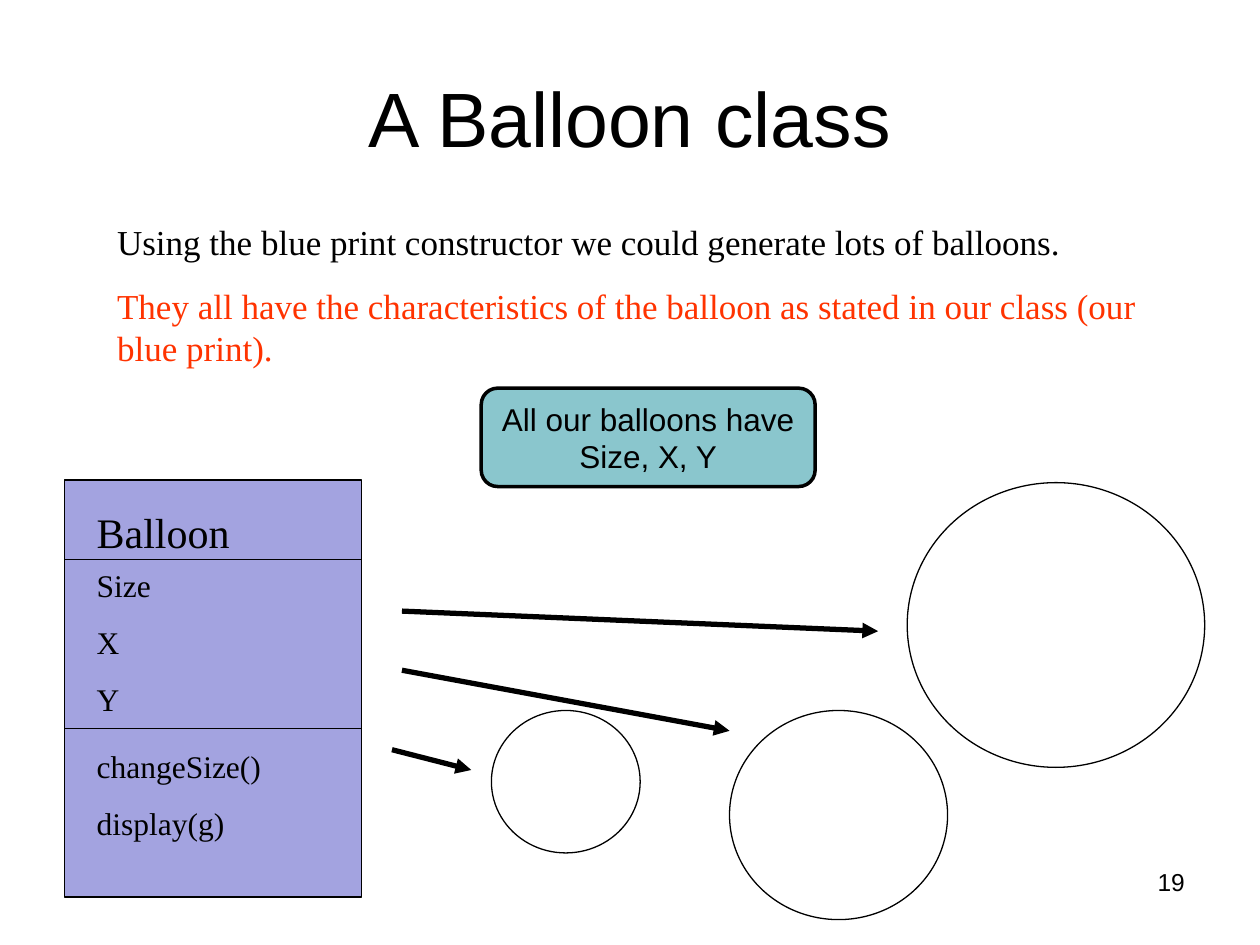
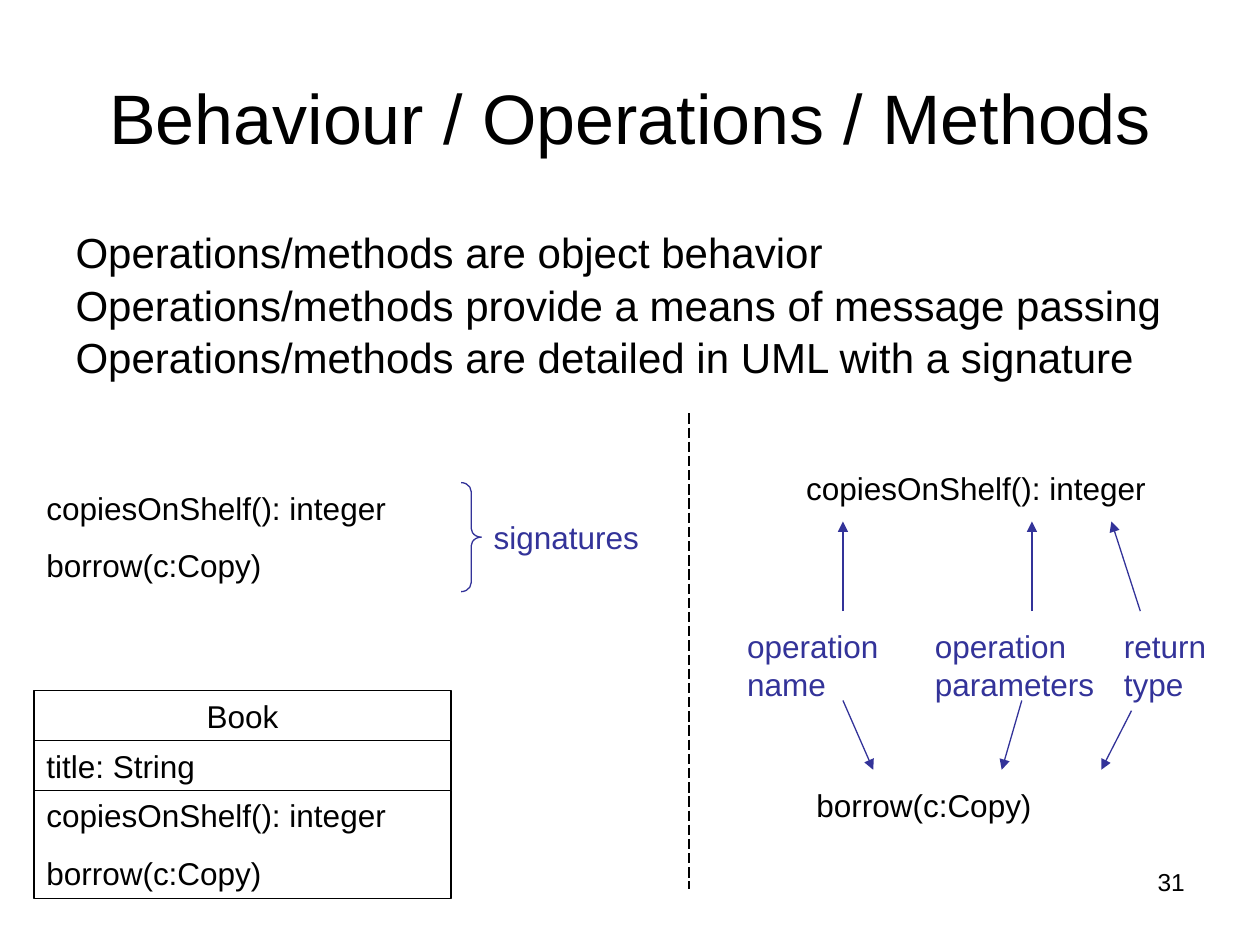
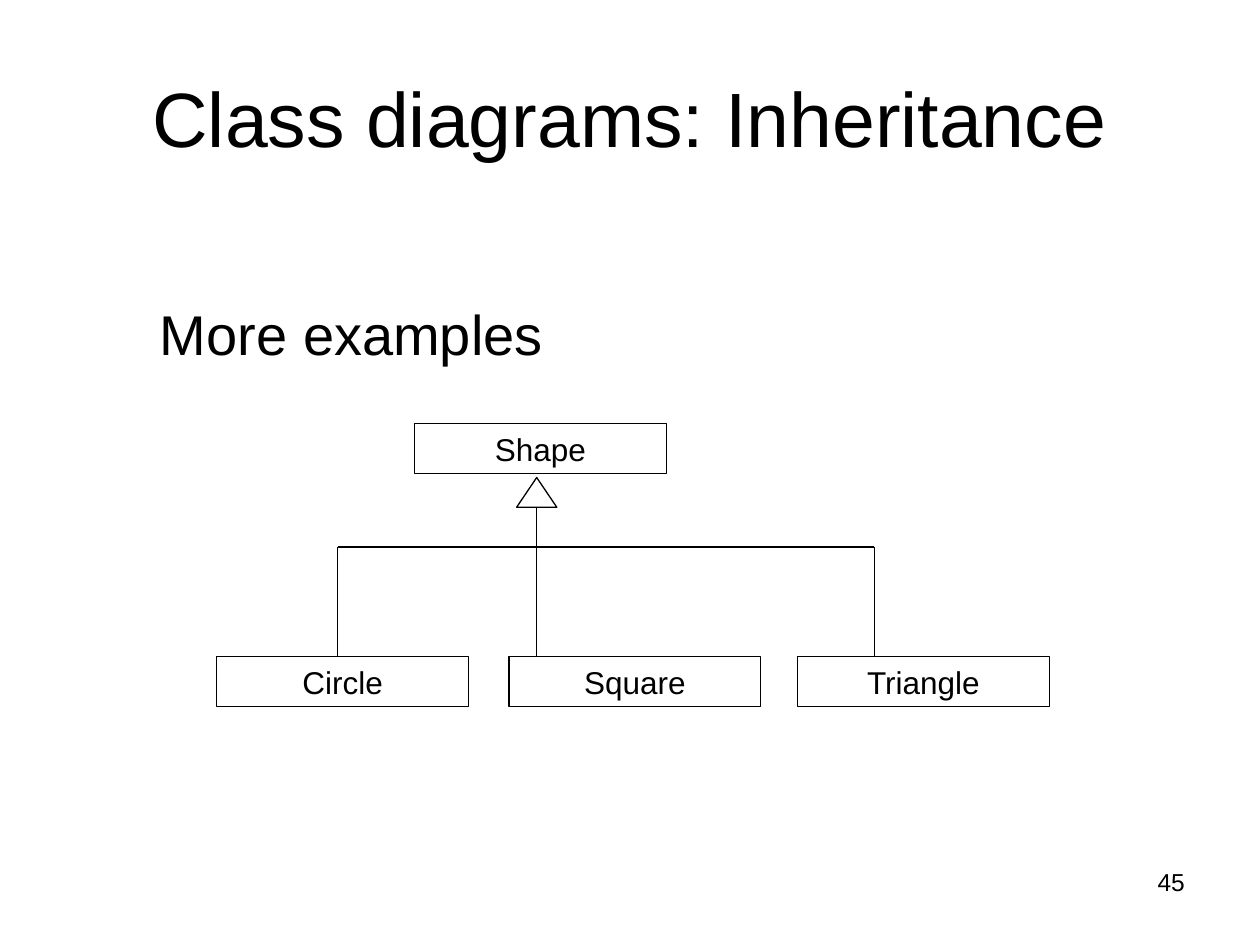
"""Build three slides on classes, operations and inheritance."""
import pptx
import pptx.dml.color
import pptx.enum.dml
import pptx.enum.shapes
import pptx.enum.text
import pptx.oxml.ns
import pptx.util
from lxml import etree

Pt = pptx.util.Pt
SHAPE = pptx.enum.shapes.MSO_SHAPE
ALIGN = pptx.enum.text.PP_ALIGN
ANCHOR = pptx.enum.text.MSO_ANCHOR
HEX = {"ink": "000000", "paper": "FFFFFF", "red": "FF3300", "blue": "333399",
       "lilac": "A3A3E0", "teal": "8AC6CD"}
SANS, SERIF = "Arial", "Times New Roman"
FRAME = {"word_wrap": True, "auto_size": pptx.enum.text.MSO_AUTO_SIZE.NONE,
         "vertical_anchor": ANCHOR.TOP, "margin_left": Pt(7.2),
         "margin_right": Pt(7.2), "margin_top": Pt(3.6), "margin_bottom": Pt(3.6)}
ROW = 28.5


def color(name):
    """Return the named colour."""
    return pptx.dml.color.RGBColor.from_string(HEX[name])


def apply(item, form):
    """Set each format value on the item."""
    for key, value in form.items():
        setattr(item, key, value)


def place(box):
    """Turn a box of numbers into lengths."""
    return [Pt(n) for n in box]


def write(shape, lines, size=18, face=SANS, ink="ink", align=ALIGN.LEFT, gap=11.2, **frame):
    """Fill a shape with lines, each a string or a (string, colour) pair."""
    body = shape.text_frame
    apply(body, {**FRAME, **frame})
    for i, line in enumerate(lines):
        words, tint = (line, ink) if isinstance(line, str) else line
        para = body.paragraphs[0] if i == 0 else body.add_paragraph()
        apply(para, {"alignment": align, "space_before": Pt(gap if i else 0)})
        run = para.add_run()
        run.text = words
        apply(run.font, {"name": face, "size": Pt(size)})
        run.font.color.rgb = color(tint)


def label(slide, box, lines, **form):
    """Add a text box."""
    write(slide.shapes.add_textbox(*place(box)), lines, **form)


def figure(slide, kind, box, fill=None, line="ink", width=0.75):
    """Add a preset shape with a plain outline."""
    shape = slide.shapes.add_shape(kind, *place(box))
    shape.shadow.inherit = False
    if fill:
        shape.fill.solid()
        shape.fill.fore_color.rgb = color(fill)
    else:
        shape.fill.background()
    shape.line.color.rgb = color(line)
    shape.line.width = Pt(width)
    return shape


def link(slide, start, end, ink="ink", width=0.75, head=False, dash=None):
    """Add a straight line, with an arrowhead at its end if asked."""
    line = slide.shapes.add_connector(
        pptx.enum.shapes.MSO_CONNECTOR.STRAIGHT, *place(start + end))
    line.line.color.rgb = color(ink)
    apply(line.line, {"width": Pt(width), "dash_style": dash})
    if head:
        tail = etree.SubElement(line.line._get_or_add_ln(), pptx.oxml.ns.qn("a:tailEnd"))
        tail.set("type", "triangle")
    etree.SubElement(line._element.spPr, pptx.oxml.ns.qn("a:effectLst"))


def start(deck, title, number, size=44, body=False):
    """Add a slide with its title and number."""
    slide = deck.slides.add_slide(deck.slide_layouts[1 if body else 5])
    head = slide.shapes.title
    apply(head, dict(zip(("left", "top", "width", "height"), place((36, 21.6, 648, 90)))))
    write(head, [title], size, align=ALIGN.CENTER, vertical_anchor=ANCHOR.MIDDLE)
    label(slide, (516.2, 491.8, 168, 37.4), [number], size=14, align=ALIGN.RIGHT)
    return slide


def points(slide, lines, size, **frame):
    """Fill the body placeholder with lines that have no bullets."""
    body = slide.placeholders[1]
    apply(body, dict(zip(("left", "top", "width", "height"), place((36, 126, 636, 382.3)))))
    for i in range(len(lines)):
        paras = body.text_frame.paragraphs
        para = paras[0] if i == 0 else body.text_frame.add_paragraph()
        props = para._p.get_or_add_pPr()
        props.set("marL", "0")
        props.set("indent", "0")
        etree.SubElement(props, pptx.oxml.ns.qn("a:buNone"))
    fill_lines(body, lines, size, **frame)


def fill_lines(body, lines, size, **frame):
    """Write one line into each paragraph that is there."""
    apply(body.text_frame, {**FRAME, **frame})
    for i, (para, words) in enumerate(zip(body.text_frame.paragraphs, lines)):
        para.space_before = Pt(1.2 if i else 0)
        run = para.add_run()
        run.text = words
        apply(run.font, {"name": SANS, "size": Pt(size)})
        run.font.color.rgb = color("ink")


def card(slide, box):
    """Draw the Balloon class with its fields and methods."""
    x, y, w, h = box
    figure(slide, SHAPE.RECTANGLE, box, "lilac")
    for top, deep, size, lines in (
            (11.5, 36, 24, ["Balloon"]),
            (45.4, 95, 18, ["Size", "X", "Y"]),
            (149, 62, 18, ["changeSize()", "display(g)"])):
        label(slide, (x + 11.5, y + top, w - 11.5, deep), lines, size=size, face=SERIF)
    for rule in (45.4, 141.8):
        link(slide, (x, y + rule), (x + w, y + rule))


def balloons(slide, box):
    """Draw the balloons and the arrows that lead to them."""
    x, y = box[:2]
    for left, top, w, h in ((294.4, 0, 170, 162.7), (56.8, 130.2, 85, 81.4),
                            (192.9, 130.2, 124.6, 119.5)):
        figure(slide, SHAPE.OVAL, (x + left, y + top, w, h))
    for a, b, c, d in ((0, 152.6, 45.3, 164.2), (5.7, 107.2, 192.9, 141.8),
                       (5.7, 73.4, 277.8, 84.9)):
        link(slide, (x + a, y + b), (x + c, y + d), width=3, head=True)


def badge(slide, box):
    """Draw the rounded remark."""
    shape = figure(slide, SHAPE.ROUNDED_RECTANGLE, box, "teal", width=2)
    write(shape, ["All our balloons have Size, X, Y"], align=ALIGN.CENTER,
          vertical_anchor=ANCHOR.MIDDLE)


def book(slide, box, calls):
    """Draw the Book class as three stacked rows."""
    x, y, w, h = box
    rows = ((["Book"], ALIGN.CENTER), (["title: String"], ALIGN.LEFT), (calls, ALIGN.LEFT))
    for i, (lines, align) in enumerate(rows):
        deep = ROW if i < 2 else h - 2 * ROW
        shape = figure(slide, SHAPE.RECTANGLE, (x, y + i * ROW, w, deep), "paper")
        write(shape, lines, align=align)


def calls_list(slide, box, calls):
    """List the calls with a brace that names them."""
    x, y, w, h = box
    label(slide, (x, y, 238.3, h), calls)
    brace = figure(slide, SHAPE.RIGHT_BRACE, (x + 244.1, y, 11.5, h), line="blue")
    brace.adjustments[0] = 0.44
    label(slide, (x + 255.6, y + 16.5, w - 255.6, ROW), ["signatures"], ink="blue")


def parts(slide, box, calls):
    """Name the parts of each call, with arrows to them."""
    x, y, w, h = box
    for (left, top), call in zip(((33.8, 0), (39.6, 181.5)), calls):
        label(slide, (x + left, y + top, 238.3, ROW), [call])
    for left, wide, words in ((0, 96.5, "operation name"),
                              (107.3, 124.6, "operation parameters"),
                              (215.3, 85, "return type")):
        label(slide, (x + left, y + 90.8, wide, 50.4), [words], ink="blue")
    for a, b, c, d in ((61.9, 85, 61.9, 33.8), (169.9, 85, 169.9, 33.8),
                       (231.8, 85, 215.3, 33.8), (61.9, 136.1, 79.2, 175.7),
                       (164.1, 136.1, 152.6, 175.7), (226.8, 141.9, 209.5, 175.7)):
        link(slide, (x + a, y + b), (x + c, y + d), "blue", head=True)


def tree(slide, box):
    """Draw a parent class above its three children."""
    x, y, w, h = box
    base, bar, stem = y + h - ROW, y + 70.6, x + 182.9
    ends = (x + 69.2, x + 375.9)
    figure(slide, SHAPE.ISOSCELES_TRIANGLE, (stem - 11.5, y + 31, 23, 17), "paper")
    link(slide, (stem, y + 48), (stem, base))
    link(slide, (ends[0], bar), (ends[1], bar))
    for end in ends:
        link(slide, (end, bar), (end, base))
    for left, top, name in ((113.1, y, "Shape"), (0, base, "Circle"),
                            (167, base, "Square"), (331.9, base, "Triangle")):
        shape = figure(slide, SHAPE.RECTANGLE, (x + left, top, 144, ROW), "paper")
        write(shape, [name], align=ALIGN.CENTER)


def main():
    """Build and save the deck."""
    deck = pptx.Presentation()
    apply(deck, {"slide_width": Pt(720), "slide_height": Pt(540)})

    slide = start(deck, "A Balloon class", "19")
    label(slide, (59.8, 122.4, 601.2, 92), [
        "Using the blue print constructor we could generate lots of balloons.",
        ("They all have the characteristics of the balloon as stated in our class "
         "(our blue print).", "red")], size=20, face=SERIF, gap=12.5)
    balloons(slide, (224, 275.8, 464.4, 249.7))
    card(slide, (36.7, 274.3, 170, 238.3))
    badge(slide, (275, 221.8, 190.8, 56.2))

    calls = ["copiesOnShelf(): integer", "borrow(c:Copy)"]
    slide = start(deck, "Behaviour / Operations / Methods", "31", 40, body=True)
    points(slide, ["Operations/methods are object behavior",
                   "Operations/methods provide a means of message passing",
                   "Operations/methods are detailed in UML with a signature"], 24)
    book(slide, (19.4, 394.6, 238.3, 118.8), calls)
    calls_list(slide, (19.4, 275.8, 362.9, 62.3), calls)
    parts(slide, (419.8, 264.2, 300.2, 210), calls)
    link(slide, (393.8, 236.2), (393.8, 508.3),
         dash=pptx.enum.dml.MSO_LINE.LONG_DASH)

    slide = start(deck, "Class diagrams: Inheritance", "45", body=True)
    points(slide, ["More examples"], 32, margin_left=Pt(55.4), margin_top=Pt(45))
    tree(slide, (123.8, 241.9, 475.9, 161.7))

    deck.save("out.pptx")


if __name__ == "__main__":
    main()
